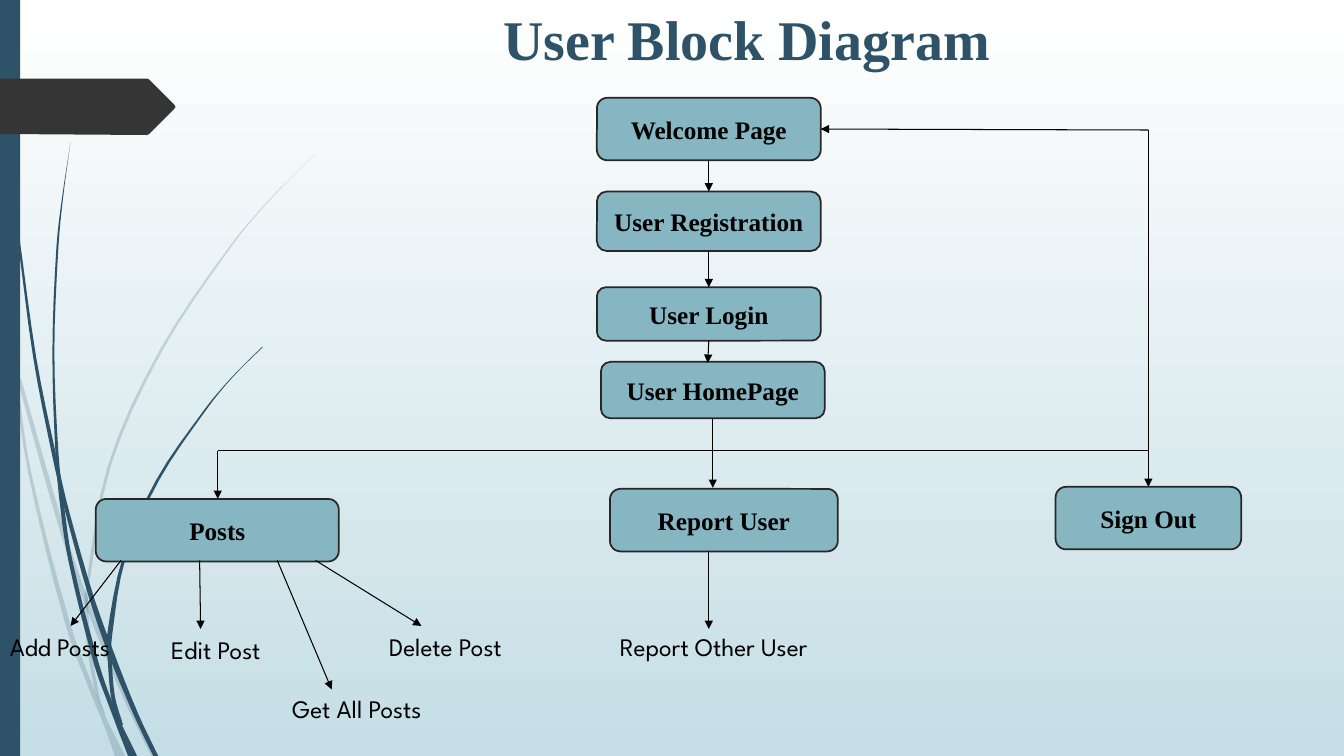
from lxml.etree import SubElement
from pptx import Presentation
from pptx.dml.color import RGBColor
from pptx.enum.shapes import MSO_CONNECTOR, MSO_SHAPE
from pptx.enum.text import MSO_ANCHOR, MSO_AUTO_SIZE, PP_ALIGN
from pptx.oxml.ns import qn
from pptx.util import Inches, Pt

NAVY, TEAL, CHARCOAL, BLACK = "2E5369", "86B6C2", "353535", "000000"
STEPS = 4
UNITS = 1000  # freeform units per inch


def paint(fill, color):
    fill.solid()
    fill.fore_color.rgb = RGBColor.from_string(color)


def smooth_edge(points):
    """Return points along a smooth curve x(y) through the (x, y) points."""
    last = len(points) - 1
    slopes = []
    for i in range(last + 1):
        (xa, ya), (xb, yb) = points[max(i - 1, 0)], points[min(i + 1, last)]
        slopes.append((xb - xa) / (yb - ya))
    curve = [points[0]]
    for i in range(last):
        (xa, ya), (xb, yb) = points[i], points[i + 1]
        h = yb - ya
        for k in range(1, STEPS + 1):
            t = k / STEPS
            x = (xa * (2 * t**3 - 3 * t**2 + 1) + xb * (3 * t**2 - 2 * t**3)
                 + h * slopes[i] * (t**3 - 2 * t**2 + t)
                 + h * slopes[i + 1] * (t**3 - t**2))
            curve.append((x, ya + h * t))
    return curve


prs = Presentation()
prs.slide_width, prs.slide_height = Inches(13.33), Inches(7.5)
s = prs.slides.add_slide(prs.slide_layouts[5])

bg = s.background.fill
bg.gradient()
bg.gradient_angle = 270
for stop, color, position in zip(bg.gradient_stops, ("FFFFFF", "C5DEE5"), (0, 1)):
    stop.color.rgb = RGBColor.from_string(color)
    stop.position = position

# Grass blades: opacity in percent, then rows of (y, left edge, right edge)
blades = [
    (20, [(3.76, 0.17, 0.21), (5.22, 0.58, 0.63), (5.99, 0.84, 0.89),
          (6.94, 1.23, 1.28), (7.5, 1.5, 1.55)]),
    (20, [(3.76, 0.14, 0.17), (4.69, 0.28, 0.31), (6.2, 0.65, 0.7),
          (6.93, 0.92, 0.97), (7.14, 1.01, 1.06), (7.5, 1.14, 1.24)]),
    (20, [(1.53, 3.12, 3.12), (1.97, 2.68, 2.69), (2.44, 2.28, 2.3), (3.48, 1.58, 1.61),
          (4.62, 1.07, 1.1), (5.84, 0.85, 0.88), (6.1, 0.84, 0.88), (6.46, 0.87, 0.91),
          (6.92, 0.96, 0.99), (7.11, 1.05, 1.05)]),
    (100, [(2.33, 0.17, 0.19), (3.55, 0.33, 0.36), (4.53, 0.52, 0.56), (5.05, 0.64, 0.68),
           (5.92, 0.88, 0.93), (6.45, 1.06, 1.12), (7.08, 1.32, 1.37), (7.5, 1.52, 1.57)]),
    (100, [(1.41, 0.7, 0.7), (1.93, 0.62, 0.63), (2.45, 0.56, 0.58), (3.49, 0.52, 0.54),
           (4.49, 0.55, 0.58), (5.05, 0.6, 0.64), (5.57, 0.68, 0.72), (6.58, 0.93, 0.98),
           (7.08, 1.11, 1.16), (7.5, 1.27, 1.36)]),
    (100, [(3.44, 2.6, 2.61), (3.74, 2.3, 2.31), (4.06, 2.03, 2.05), (4.76, 1.55, 1.58),
           (5.52, 1.22, 1.25), (6.32, 1.06, 1.11), (6.56, 1.07, 1.11), (6.91, 1.1, 1.14),
           (7.19, 1.17, 1.22)]),
]
outlines = []
for opacity, rows in blades:
    left = smooth_edge([(x, y) for y, x, _ in rows])
    right = smooth_edge([(x, y) for y, _, x in rows])
    outlines.append((left + right[::-1], NAVY, opacity))
outlines.append(([(0, 0.78), (1.46, 0.78), (1.48, 0.79), (1.73, 1.04), (1.74, 1.06),
                  (1.73, 1.08), (1.48, 1.33), (1.46, 1.34), (0, 1.33)], CHARCOAL, 100))

bar = s.shapes.add_shape(MSO_SHAPE.RECTANGLE, 0, 0, Inches(0.2), prs.slide_height)
bar.shadow.inherit = False
bar.line.fill.background()
paint(bar.fill, NAVY)

for points, color, opacity in outlines:
    grid = [(round(x * UNITS), round(y * UNITS)) for x, y in points]
    builder = s.shapes.build_freeform(*grid[0], scale=Inches(1) / UNITS)
    builder.add_line_segments(grid[1:])
    sp = builder.convert_to_shape()
    sp.shadow.inherit = False
    sp.line.fill.background()
    paint(sp.fill, color)
    if opacity < 100:
        clr = sp.fill._xPr.find(qn("a:solidFill"))[0]
        SubElement(clr, qn("a:alpha"), val=str(opacity * 1000))

title = s.shapes.title
title.left, title.top = Inches(4.89), Inches(-0.01)
title.width, title.height = Inches(9.75), Inches(0.82)
tf = title.text_frame
tf.text = "User Block Diagram"
tf.auto_size = MSO_AUTO_SIZE.NONE
tf.vertical_anchor = MSO_ANCHOR.MIDDLE
tf.margin_bottom = Inches(0.09)
p = tf.paragraphs[0]
p.alignment = PP_ALIGN.LEFT
p.font.name, p.font.size, p.font.bold = "Times New Roman", Pt(40), True
paint(p.font.fill, NAVY)

boxes = [
    ("Welcome Page", 5.92, 0.97, 2.22, 0.62),
    ("User Registration", 5.92, 1.9, 2.22, 0.59),
    ("User Login", 5.92, 2.85, 2.22, 0.53),
    ("User HomePage", 5.96, 3.59, 2.22, 0.56),
    ("Posts", 0.95, 4.95, 2.41, 0.62),
    ("Report User", 6.05, 4.85, 2.26, 0.62),
    ("Sign Out", 10.47, 4.83, 1.84, 0.62),
]
for text, *place in boxes:
    sp = s.shapes.add_shape(MSO_SHAPE.ROUNDED_RECTANGLE, *map(Inches, place))
    sp.shadow.inherit = False
    paint(sp.fill, TEAL)
    paint(sp.line.fill, "272727")
    sp.line.width = Pt(1.25)
    tf = sp.text_frame
    tf.text = text
    tf.vertical_anchor = MSO_ANCHOR.MIDDLE
    p = tf.paragraphs[0]
    p.alignment = PP_ALIGN.CENTER
    p.font.name, p.font.size, p.font.bold = "Times New Roman", Pt(18), True
    paint(p.font.fill, BLACK)

labels = [
    ("Add Posts", 0, 6.21, 1.4),
    ("Edit Post", 1.6, 6.24, 1.22),
    ("Delete Post", 3.76, 6.21, 1.59),
    ("Report Other User", 6.05, 6.21, 2.36),
    ("Get All Posts", 2.8, 6.83, 1.7),
]
for text, x, y, width in labels:
    sp = s.shapes.add_textbox(Inches(x), Inches(y), Inches(width), Inches(0.4))
    tf = sp.text_frame
    tf.text = text
    tf.word_wrap = False
    p = tf.paragraphs[0]
    p.font.name, p.font.size = "League Spartan", Pt(18)
    paint(p.font.fill, BLACK)

arrows = [
    (7.03, 1.59, 7.03, 1.9), (7.03, 2.49, 7.03, 2.85), (7.03, 3.38, 7.02, 3.6),
    (2.16, 4.47, 2.16, 4.95), (7.07, 4.47, 7.07, 4.84), (11.39, 4.47, 11.39, 4.83),
    (7.03, 5.47, 7.03, 6.24), (1.2, 5.56, 0.7, 6.21), (1.98, 5.56, 1.99, 6.24),
    (3.13, 5.56, 4.18, 6.21), (2.75, 5.56, 3.29, 6.84), (11.39, 1.29, 8.14, 1.28),
]
plain_lines = [(7.07, 4.15, 7.07, 4.47), (2.16, 4.47, 11.39, 4.47),
               (11.39, 4.47, 11.39, 1.29)]
for ends in arrows + plain_lines:
    line = s.shapes.add_connector(MSO_CONNECTOR.STRAIGHT, *map(Inches, ends))
    paint(line.line.fill, BLACK)
    line.line.width = Pt(0.75)
    if ends in arrows:
        SubElement(line.line._get_or_add_ln(), qn("a:tailEnd"), type="triangle")
    SubElement(line._element.spPr, qn("a:effectLst"))

prs.save("out.pptx")
